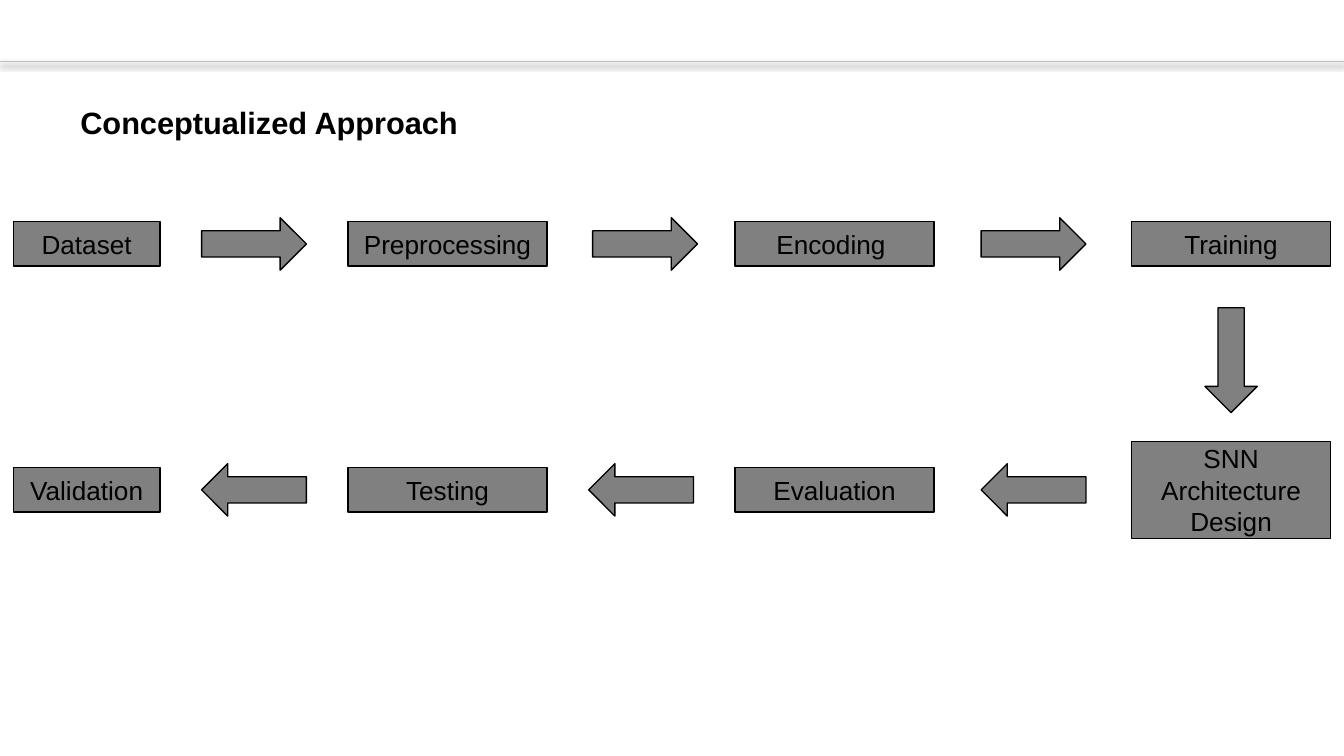
from pptx import Presentation
from pptx.dml.color import RGBColor
from pptx.enum.shapes import MSO_CONNECTOR, MSO_SHAPE as Shape
from pptx.enum.text import MSO_ANCHOR as Anchor, PP_ALIGN as Align
from pptx.oxml import parse_xml
from pptx.oxml.ns import qn
from pptx.util import Inches, Pt

BLACK = RGBColor(0x00, 0x00, 0x00)
GRAY = RGBColor(0x80, 0x80, 0x80)
RULE_GRAY = RGBColor(0xBF, 0xBF, 0xBF)
FONT = "Arial"

TITLE = "Conceptualized Approach"
COLUMNS = [(0.1, 1.09), (2.59, 1.48), (5.47, 1.48), (8.42, 1.48)]
ROWS = [
    (1.65, Shape.RIGHT_ARROW, [1.5, 4.41, 7.3],
     ["Dataset", "Preprocessing", "Encoding ", "Training"]),
    (3.48, Shape.LEFT_ARROW, [1.5, 4.38, 7.3],
     ["Validation", "Testing", "Evaluation", "SNN Architecture Design"]),
]
STEP_HEIGHT = 0.33
TALL_HEIGHTS = {"SNN Architecture Design": 0.72}
ARROW_LENGTH, ARROW_BREADTH = 0.78, 0.39
DOWN_ARROW_TOP = 2.29

RULE_SHADOW = (
    '<a:effectLst xmlns:a="http://schemas.openxmlformats.org/drawingml/2006/main">'
    f'<a:outerShdw blurRad="{Pt(3.1)}" dist="{Pt(1.6)}" dir="5400000" rotWithShape="0">'
    '<a:srgbClr val="000000"><a:alpha val="38000"/></a:srgbClr>'
    '</a:outerShdw></a:effectLst>'
)


def add_block(page, kind, left, top, width, height):
    block = page.shapes.add_shape(
        kind, Inches(left), Inches(top), Inches(width), Inches(height))
    block.shadow.inherit = False
    block.fill.solid()
    block.fill.fore_color.rgb = GRAY
    block.line.color.rgb = BLACK
    block.line.width = Pt(0.75)
    return block


def write_text(box, text, size, margin_y):
    frame = box.text_frame
    frame.word_wrap = True
    frame.vertical_anchor = Anchor.MIDDLE
    frame.margin_left = frame.margin_right = Inches(0.1)
    frame.margin_top = frame.margin_bottom = Inches(margin_y)
    para = frame.paragraphs[0]
    para.text = text
    para.font.name = FONT
    para.font.size = Pt(size)
    para.font.color.rgb = BLACK
    return para


def add_step(page, text, left, width, middle):
    height = TALL_HEIGHTS.get(text, STEP_HEIGHT)
    step = add_block(page, Shape.RECTANGLE, left, middle - height / 2, width, height)
    write_text(step, text, 14, 0.1).alignment = Align.CENTER


def add_rule(page):
    rule = page.shapes.add_connector(
        MSO_CONNECTOR.STRAIGHT, 0, Inches(0.46), Inches(10), Inches(0.46))
    rule.line.color.rgb = RULE_GRAY
    rule.line.width = Pt(0.75)
    rule.element.find(qn("p:spPr")).append(parse_xml(RULE_SHADOW))


def add_title(page):
    box = page.shapes.add_textbox(Inches(0.5), Inches(0.58), Inches(9), Inches(0.66))
    para = write_text(box, TITLE, 16.5, 0.05)
    para.font.bold = True
    para.space_before = Pt(3.6)


def main():
    deck = Presentation()
    deck.slide_width = Inches(10)
    deck.slide_height = Inches(10) * 9 // 16
    page = deck.slides.add_slide(deck.slide_layouts[6])

    add_rule(page)
    for top, arrow, arrow_lefts, steps in ROWS:
        middle = top + STEP_HEIGHT / 2
        for text, (left, width) in zip(steps, COLUMNS):
            add_step(page, text, left, width, middle)
        for left in arrow_lefts:
            add_block(page, arrow, left, middle - ARROW_BREADTH / 2,
                      ARROW_LENGTH, ARROW_BREADTH)

    last_left, last_width = COLUMNS[-1]
    add_block(page, Shape.DOWN_ARROW, last_left + (last_width - ARROW_BREADTH) / 2,
              DOWN_ARROW_TOP, ARROW_BREADTH, ARROW_LENGTH)
    add_title(page)
    deck.save("out.pptx")


if __name__ == "__main__":
    main()
